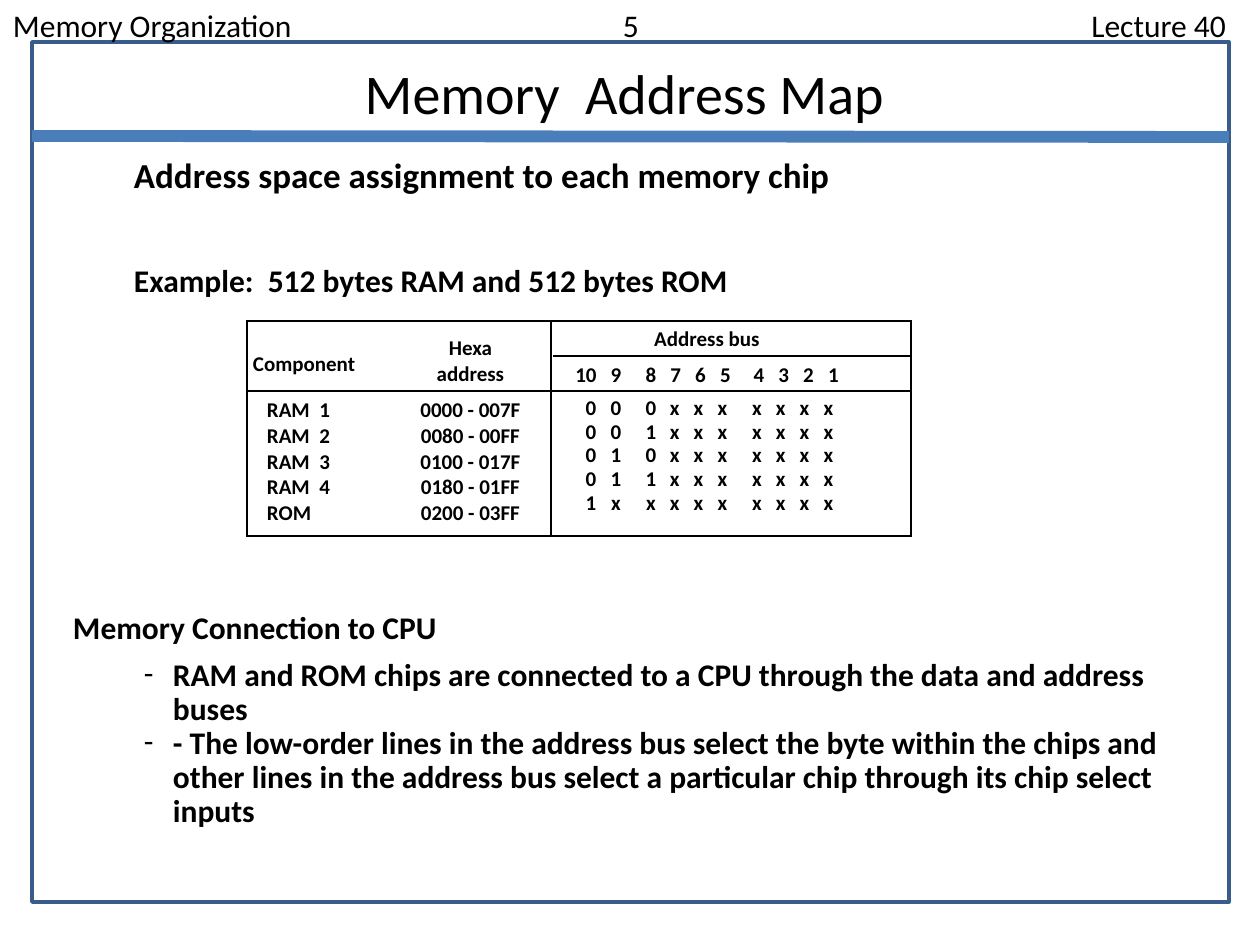
from dataclasses import dataclass

from lxml.etree import SubElement
from pptx import Presentation
from pptx.dml.color import RGBColor as RGB
from pptx.enum.shapes import MSO_CONNECTOR as CONN, MSO_SHAPE as SHAPE
from pptx.enum.text import PP_ALIGN as ALIGN
from pptx.oxml.ns import qn
from pptx.util import Emu, Inches, Pt

PX = Inches(1) / 126
NO_STYLE = "{2D5ABB26-0587-4C30-8999-92F81FD0307C}"


@dataclass(frozen=True)
class Theme:
    font: str = "Calibri"
    ink: str = "000000"
    frame: str = "385D8A"
    rule: str = "4A7EBB"
    title: int = 32
    lead: int = 20
    body: int = 18
    cell: int = 12


theme = Theme()


def px(n):
    return Emu(round(n * PX))


def write(tf, text, size=theme.body, bold=True, align=ALIGN.LEFT, spacing=1.0,
          before=0, tabs=(), bullet=None, hang=0):
    """Add one paragraph, filling the frame's empty first one if there is one.

    tabs holds (position in px, alignment) pairs; hang is the bullet indent in px.
    """
    p = tf.paragraphs[-1]
    if p.runs:
        p = tf.add_paragraph()
    p.alignment, p.line_spacing = align, spacing
    if before:
        p.space_before = Pt(before)
    pPr = p._p.get_or_add_pPr()
    if bullet:
        pPr.set("marL", str(px(hang)))
        pPr.set("indent", str(-px(hang)))
        SubElement(pPr, qn("a:buFont"), typeface=theme.font)
        SubElement(pPr, qn("a:buChar"), char=bullet)
    if tabs:
        tab_list = SubElement(pPr, qn("a:tabLst"))
        for pos, kind in tabs:
            SubElement(tab_list, qn("a:tab"), pos=str(px(pos)), algn=kind)
    r = p.add_run()
    r.text = text
    r.font.name, r.font.size, r.font.bold = theme.font, Pt(size), bold
    r.font.color.rgb = RGB.from_string(theme.ink)


prs = Presentation()
prs.slide_width, prs.slide_height = px(1260), px(945)
s = prs.slides.add_slide(prs.slide_layouts[6])

# Frame
frame = s.shapes.add_shape(SHAPE.RECTANGLE, px(32), px(42), px(1197), px(860))
frame.shadow.inherit = False
frame.fill.background()
frame.line.color.rgb = RGB.from_string(theme.frame)
frame.line.width = Pt(2)

# Text blocks: box, inset (left, top), wrap, paragraphs
dash = dict(spacing=0.9, bullet="-", hang=29)
blocks = [
    ((0, 0, 1260, 89), (13, 6), True, [
        ("Memory Organization\t5\tLecture 40",
         dict(bold=False, tabs=[(618, "ctr"), (1213, "r")]))]),
    ((94, 53, 1061, 81), (13, 6), True, [
        ("Memory  Address Map",
         dict(size=theme.title, bold=False, align=ALIGN.CENTER))]),
    ((121, 152, 722, 152), (13, 6), False, [
        ("Address space assignment to each memory chip",
         dict(size=theme.lead, spacing=0.9)),
        ("Example:  512 bytes RAM and 512 bytes ROM",
         dict(spacing=0.9, before=39.5))]),
    ((64, 610, 382, 39), (9, 4), False, [
        ("Memory Connection to CPU", dict(spacing=0.85))]),
    ((135, 655, 1042, 178), (9, 4), True, [
        ("RAM and ROM chips are connected to a CPU through the data and "
         "address buses", dash),
        ("- The low-order lines in the address bus select the byte within the "
         "chips and other lines in the address bus select a particular chip "
         "through its chip select inputs", dash)]),
]
for box, (inset_x, inset_y), wrap, paragraphs in blocks:
    tf = s.shapes.add_textbox(*map(px, box)).text_frame
    tf.word_wrap = wrap
    tf.margin_left = tf.margin_right = px(inset_x)
    tf.margin_top = tf.margin_bottom = px(inset_y)
    for text, fmt in paragraphs:
        write(tf, text, **fmt)

# Address map table
col_widths = [143, 161, 360]
row_heights = [70, 145]
table = s.shapes.add_table(2, 3, px(247), px(321), px(sum(col_widths)),
                           px(sum(row_heights))).table
table.first_row = table.horz_banding = False
table._tbl.tblPr.find(qn("a:tableStyleId")).text = NO_STYLE
for col, width in zip(table.columns, col_widths):
    col.width = px(width)
for row, height in zip(table.rows, row_heights):
    row.height = px(height)

# Bits 10 and 9 stand alone; 8-5 and 4-1 are groups with an even pitch
number_tabs, pattern_tabs = (
    [(pos, "ctr") for pos in
     [first, 65] + [start + pitch * i for start in (100, group) for i in range(4)]]
    for first, group, pitch in [(35, 208, 24.8), (40, 206, 23.8)])
chips = [
    ("RAM  1", "0000 - 007F", "000xxxxxxx"),
    ("RAM  2", "0080 - 00FF", "001xxxxxxx"),
    ("RAM  3", "0100 - 017F", "010xxxxxxx"),
    ("RAM  4", "0180 - 01FF", "011xxxxxxx"),
    ("ROM", "0200 - 03FF", "1xxxxxxxxx"),
]
names, ranges, patterns = zip(*chips)
bit_numbers = [str(n) for n in range(10, 0, -1)]
center = dict(align=ALIGN.CENTER)
pattern = dict(tabs=pattern_tabs, spacing=0.92)

# Each cell: left margin, top margin, (line, format) pairs
grid = [
    [(6, 31, [("Component", {})]),
     (0, 15, [("Hexa", center), ("address", center)]),
     (0, 6, [("\tAddress bus", dict(tabs=[(156, "ctr")])),
             ("\t" + "\t".join(bit_numbers), dict(tabs=number_tabs, before=5.5))])],
    [(20, 7, [(name, {}) for name in names]),
     (0, 7, [(span, center) for span in ranges]),
     (0, 6, [("\t" + "\t".join(bits), pattern) for bits in patterns])],
]
for r, row in enumerate(grid):
    for c, (left, top, lines) in enumerate(row):
        cell = table.cell(r, c)
        tcPr = cell._tc.get_or_add_tcPr()
        ruled = {"L": c != 1, "R": c != 0, "T": True, "B": True}
        for side, drawn in ruled.items():
            ln = SubElement(tcPr, qn(f"a:ln{side}"), w=str(Pt(1)))
            if drawn:
                fill = SubElement(ln, qn("a:solidFill"))
                SubElement(fill, qn("a:srgbClr"), val=theme.ink)
            else:
                SubElement(ln, qn("a:noFill"))
        cell.fill.background()
        cell.margin_left, cell.margin_top = px(left), px(top)
        cell.margin_right = cell.margin_bottom = 0
        for line, fmt in lines:
            write(cell.text_frame, line, size=theme.cell, **fmt)

# Rule under the title, and the line between the bus heading and its bit numbers
for x1, y1, x2, y2, color, weight in [
    (32, 136, 1229, 137, theme.rule, 6.75),
    (553, 356, 911, 356, theme.ink, 1),
]:
    line = s.shapes.add_connector(CONN.STRAIGHT, px(x1), px(y1), px(x2), px(y2))
    line.line.color.rgb = RGB.from_string(color)
    line.line.width = Pt(weight)
    SubElement(line._element.spPr, qn("a:effectLst"))

prs.save("out.pptx")
